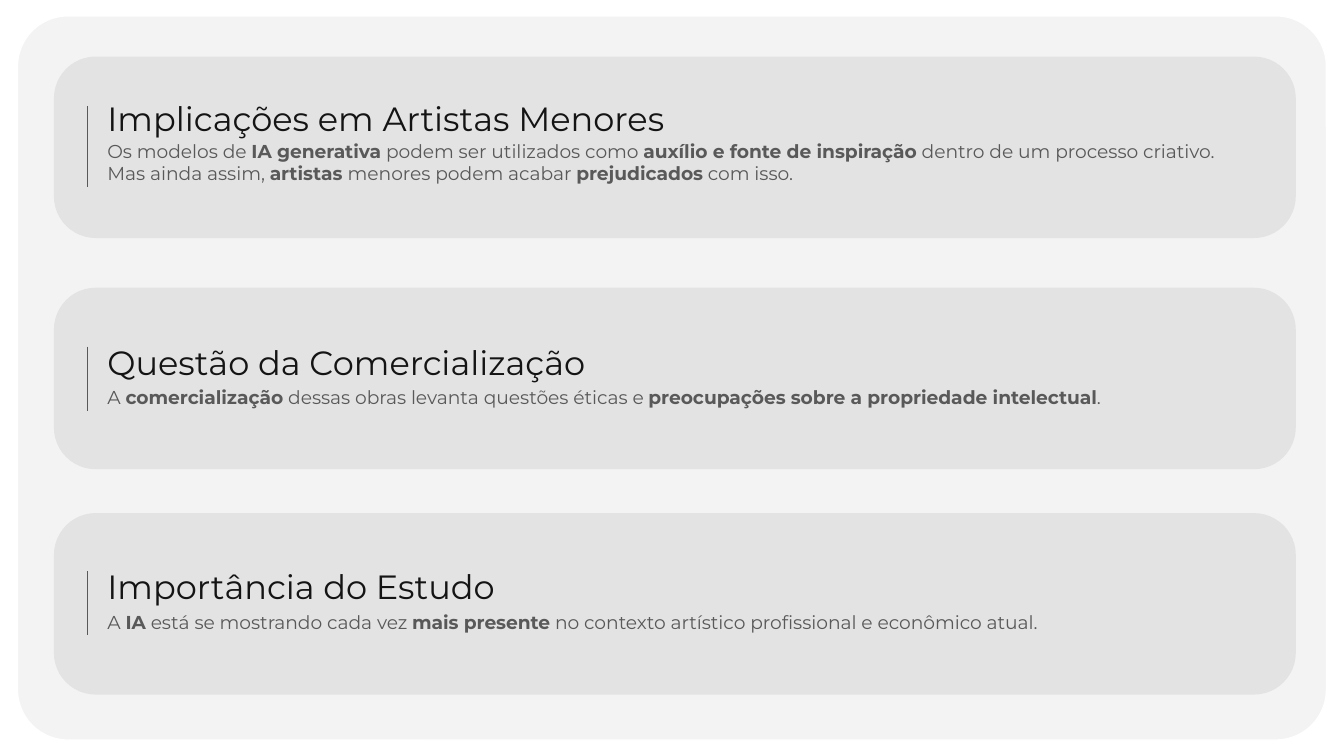
import pptx
import pptx.dml.color
import pptx.enum.shapes
import pptx.enum.text
import pptx.oxml.ns
import pptx.util
from lxml import etree
from pptx.util import Cm

FONT = "Montserrat"
TITLE_FONT = {"name": FONT, "size": pptx.util.Pt(18)}
BODY_FONT = {"name": FONT, "size": pptx.util.Pt(10)}
SPACED = {"line_spacing": 1.15, "space_after": pptx.util.Pt(12)}
CARD_LEFT, CARD_WIDTH, CARD_HEIGHT = 1.02, 23.47, 3.43
TEXT_LEFT, RULE_LEFT, BODY_DROP = 1.78, 1.65, 0.92

CARDS = [
    {
        "title": "Implicações em Artistas Menores",
        "lines": [
            "Os modelos de *IA generativa* podem ser utilizados como "
            "*auxílio e fonte de inspiração* dentro de um processo criativo.",
            "Mas ainda assim, *artistas *menores podem acabar *prejudicados* com isso.",
        ],
        "top": 1.07, "title_top": 1.47, "body_size": (21.72, 1.37),
        "body_format": {}, "rule": (2.01, 3.53),
    },
    {
        "title": "Questão da Comercialização",
        "lines": [
            "A *comercialização* dessas obras levanta questões éticas e "
            "*preocupações sobre a propriedade intelectual*.",
        ],
        "top": 5.44, "title_top": 6.07, "body_size": (21.03, 0.94),
        "body_format": SPACED, "rule": (6.55, 7.77),
    },
    {
        "title": "Importância do Estudo",
        "lines": [
            "A *IA* está se mostrando cada vez *mais presente* "
            "no contexto artístico profissional e econômico atual.",
        ],
        "top": 9.7, "title_top": 10.31, "body_size": (19.81, 0.94),
        "body_format": SPACED, "rule": (10.8, 12.01),
    },
]


def color(value):
    """Return the colour for a hex string."""
    return pptx.dml.color.RGBColor.from_string(value)


def apply_format(target, values):
    """Set each format value on the target."""
    for name, value in values.items():
        setattr(target, name, value)


def add_panel(shapes, left, top, width, height, rounding, fill, line=None):
    """Add a filled rounded rectangle with an optional outline."""
    panel = shapes.add_shape(
        pptx.enum.shapes.MSO_SHAPE.ROUNDED_RECTANGLE,
        Cm(left), Cm(top), Cm(width), Cm(height))
    panel.adjustments[0] = rounding
    panel.shadow.inherit = False
    panel.fill.solid()
    panel.fill.fore_color.rgb = color(fill)
    if line:
        panel.line.color.rgb = color(line)
        panel.line.width = pptx.util.Pt(0.75)
    else:
        panel.line.fill.background()


def add_text(shapes, left, top, width, height, lines, font, ink, para_format, frame_format):
    """Add a text box whose lines mark bold spans with asterisks."""
    box = shapes.add_textbox(Cm(left), Cm(top), Cm(width), Cm(height))
    frame = box.text_frame
    margins = dict.fromkeys(
        ("margin_left", "margin_top", "margin_right", "margin_bottom"), Cm(0.25))
    apply_format(frame, {"word_wrap": True, **margins, **frame_format})
    for index, line in enumerate(lines):
        para = frame.add_paragraph() if index else frame.paragraphs[0]
        apply_format(para, para_format)
        for position, words in enumerate(line.split("*")):
            span = para.add_run()
            span.text = words
            apply_format(span.font, {**font, "bold": position % 2 == 1})
            span.font.color.rgb = color(ink)


def add_rule(shapes, left, top, bottom):
    """Add a thin vertical line."""
    rule = shapes.add_connector(
        pptx.enum.shapes.MSO_CONNECTOR.STRAIGHT,
        Cm(left), Cm(top), Cm(left), Cm(bottom))
    rule.line.color.rgb = color("595959")
    rule.line.width = pptx.util.Pt(0.75)
    etree.SubElement(rule._element.spPr, pptx.oxml.ns.qn("a:effectLst"))


def add_card(slide, card):
    """Add a grouped card with its title, body and rule."""
    shapes = slide.shapes.add_group_shape().shapes
    add_panel(shapes, CARD_LEFT, card["top"], CARD_WIDTH, CARD_HEIGHT, 0.23, "E3E3E3")
    add_text(shapes, TEXT_LEFT, card["title_top"], 21.97, 1.4, [card["title"]],
             TITLE_FONT, "141414", SPACED,
             {"vertical_anchor": pptx.enum.text.MSO_ANCHOR.BOTTOM})
    add_text(shapes, TEXT_LEFT, card["title_top"] + BODY_DROP, *card["body_size"],
             card["lines"], BODY_FONT, "595959", card["body_format"],
             {"auto_size": pptx.enum.text.MSO_AUTO_SIZE.SHAPE_TO_FIT_TEXT})
    add_rule(shapes, RULE_LEFT, *card["rule"])


def main():
    """Build and save the slide."""
    deck = pptx.Presentation()
    apply_format(deck, {"slide_width": Cm(25.4), "slide_height": Cm(14.29)})
    slide = deck.slides.add_slide(deck.slide_layouts[6])
    add_panel(slide.shapes, 0.33, 0.3, 24.74, 13.69, 0.07, "F3F3F3", "FFFFFF")
    for card in CARDS:
        add_card(slide, card)
    deck.save("out.pptx")


if __name__ == "__main__":
    main()
